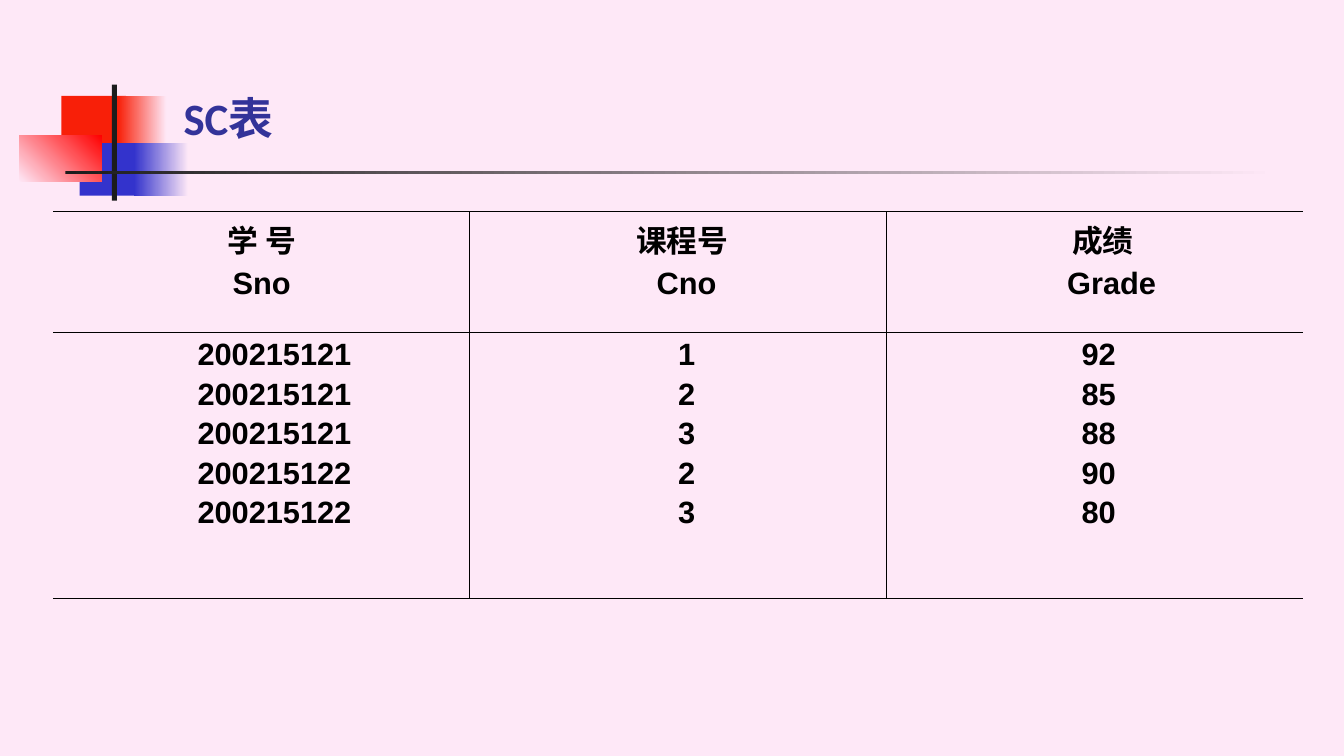
from dataclasses import dataclass

from lxml.etree import SubElement
from pptx import Presentation
from pptx.dml.color import RGBColor
from pptx.enum.shapes import MSO_SHAPE
from pptx.enum.text import MSO_ANCHOR, PP_ALIGN
from pptx.oxml.ns import qn
from pptx.util import Inches, Pt


@dataclass(frozen=True)
class Theme:
    """Colours, fonts and type sizes of the slide."""
    back: str = "FEE8F7"
    orange: str = "F81F08"
    red: str = "FF0000"
    blue: str = "3333CC"
    dark: str = "1C1C1C"
    title: str = "333399"
    ink: str = "000000"
    title_font: str = "Calibri"
    table_font: str = "Arial"
    title_size: int = 32
    table_size: int = 22
    paragraph_gap: float = 3.6
    indent_step: float = 0.085


THEME = Theme()

HEADERS = [["学 号", "Sno"], ["课程号", "Cno"], ["成绩", "Grade"]]
GRADES = [
    ("200215121", "1", "92"),
    ("200215121", "2", "85"),
    ("200215121", "3", "88"),
    ("200215122", "2", "90"),
    ("200215122", "3", "80"),
]
HEADER_INDENTS = [(0, 0), (1, 2), (2, 4)]
GRADE_INDENTS = [3, 2, 1]


def rgb(colour):
    """Turn a hex string into a colour."""
    return RGBColor.from_string(colour)


def style_text(para, font, size, colour):
    """Set the bold font of a paragraph."""
    para.font.name = font
    para.font.size = Pt(size)
    para.font.bold = True
    para.font.color.rgb = rgb(colour)


def add_block(page, box, start, end=None, angle=0):
    """Draw a plain rectangle, or one that fades from start to end."""
    block = page.shapes.add_shape(MSO_SHAPE.RECTANGLE, *map(Inches, box))
    block.shadow.inherit = False
    block.line.fill.background()
    if end is None:
        block.fill.solid()
        block.fill.fore_color.rgb = rgb(start)
    else:
        block.fill.gradient()
        block.fill.gradient_angle = angle
        for stop, colour in zip(block.fill.gradient_stops, (start, end)):
            stop.color.rgb = rgb(colour)


def add_ornament(page, left, top):
    """Draw the coloured squares and the crossed bars."""
    blocks = [
        (0.42, 0.11, 0.64, 0.52, THEME.orange),
        (0.98, 0.11, 0.48, 0.52, THEME.orange, THEME.back),
        (0.6, 0.58, 0.62, 0.52, THEME.blue),
        (1.14, 0.58, 0.54, 0.52, THEME.blue, THEME.back),
        (0, 0.5, 0.82, 0.46, THEME.back, THEME.red, 45),
        (0.92, 0, 0.05, 1.15, THEME.dark),
        (0.46, 0.86, 12, 0.03, THEME.dark, THEME.back),
    ]
    for x, y, width, height, *paint in blocks:
        add_block(page, (left + x, top + y, width, height), *paint)


def place_title(page, box, text):
    """Move and format the title placeholder."""
    title = page.shapes.title
    title.left, title.top, title.width, title.height = map(Inches, box)
    frame = title.text_frame
    frame.text = text
    frame.vertical_anchor = MSO_ANCHOR.BOTTOM
    para = frame.paragraphs[0]
    para.alignment = PP_ALIGN.LEFT
    style_text(para, THEME.title_font, THEME.title_size, THEME.title)


def set_borders(cell, sides):
    """Rule the given sides of a cell and leave the others open."""
    properties = cell._tc.get_or_add_tcPr()
    for side in "LRTB":
        line = SubElement(properties, qn(f"a:ln{side}"), w=str(Pt(1)))
        if side in sides:
            fill = SubElement(line, qn("a:solidFill"))
            SubElement(fill, qn("a:srgbClr"), val=THEME.ink)
        else:
            SubElement(line, qn("a:noFill"))


def fill_cell(cell, lines, indents):
    """Write centred lines, each shifted by its own indent."""
    cell.margin_left = cell.margin_right = Inches(0.13)
    cell.margin_top = cell.margin_bottom = Inches(0.05)
    cell.text = "\n".join(lines)
    for para, indent in zip(cell.text_frame.paragraphs, indents):
        para.alignment = PP_ALIGN.CENTER
        para.space_before = Pt(THEME.paragraph_gap)
        margin = Inches(indent * THEME.indent_step)
        para._p.get_or_add_pPr().set("marL", str(margin))
        style_text(para, THEME.table_font, THEME.table_size, THEME.ink)


def add_grades(page, box, row_heights):
    """Build the table, open on its left and right."""
    count = len(HEADERS)
    table = page.shapes.add_table(2, count, *map(Inches, box)).table
    table.first_row = table.horz_banding = False
    for row, height in zip(table.rows, row_heights):
        row.height = Inches(height)
    for index, values in enumerate(zip(*GRADES)):
        table.columns[index].width = Inches(box[2] / count)
        sides = "TB" + "L" * (index > 0) + "R" * (index < count - 1)
        contents = [
            (HEADERS[index], HEADER_INDENTS[index]),
            (values, [GRADE_INDENTS[index]] * len(values)),
        ]
        for row, (lines, indents) in enumerate(contents):
            cell = table.cell(row, index)
            fill_cell(cell, lines, indents)
            set_borders(cell, sides)
            cell.fill.background()


def main():
    """Build the slide and save it."""
    deck = Presentation()
    deck.slide_width, deck.slide_height = Inches(13.33), Inches(7.5)
    page = deck.slides.add_slide(deck.slide_layouts[5])
    page.background.fill.solid()
    page.background.fill.fore_color.rgb = rgb(THEME.back)
    add_ornament(page, 0.19, 0.84)
    place_title(page, (1.72, 0.86, 10.78, 0.62), "SC表")
    add_grades(page, (0.53, 2.1, 12.39, 3.84), (1.2, 2.64))
    deck.save("out.pptx")


if __name__ == "__main__":
    main()
